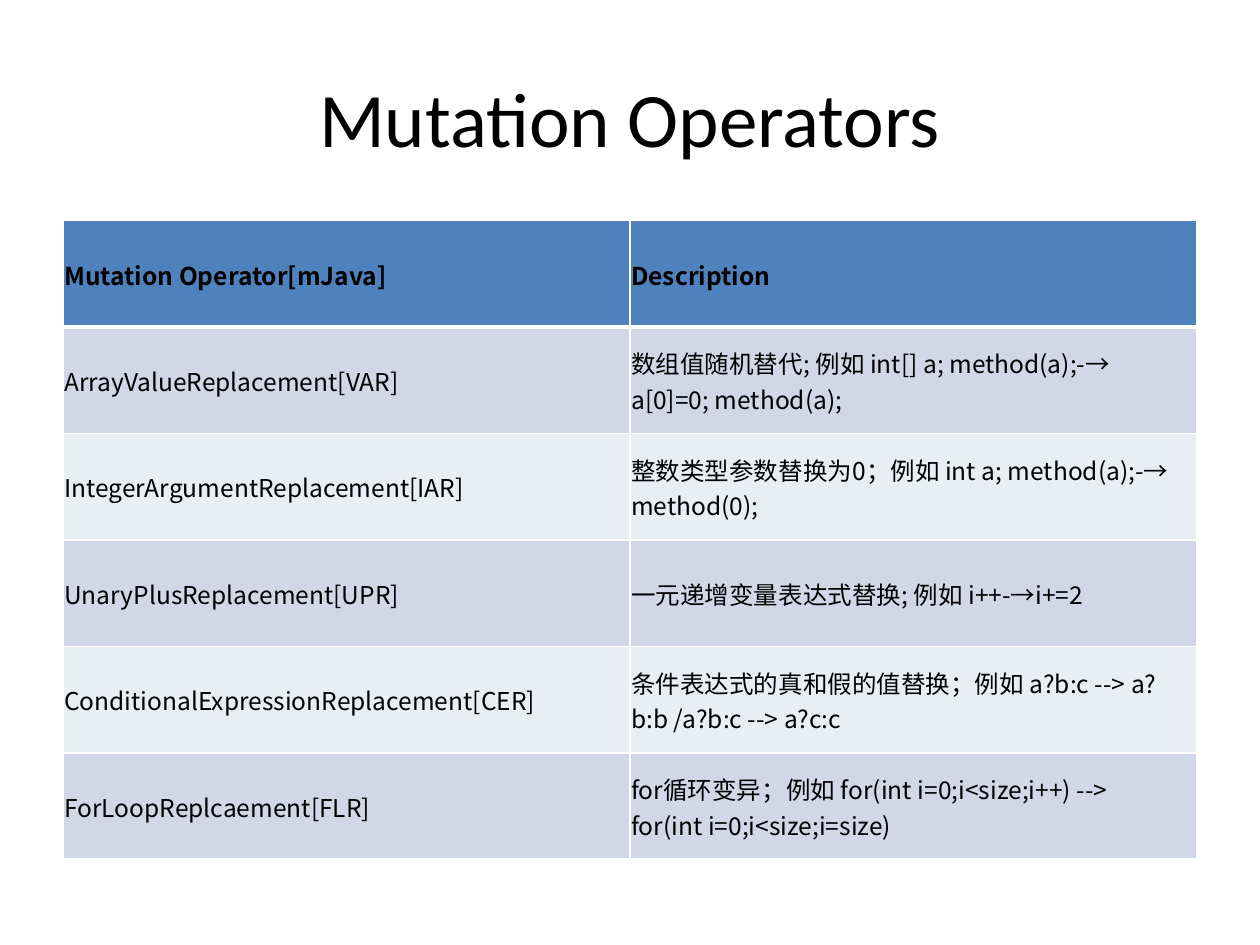
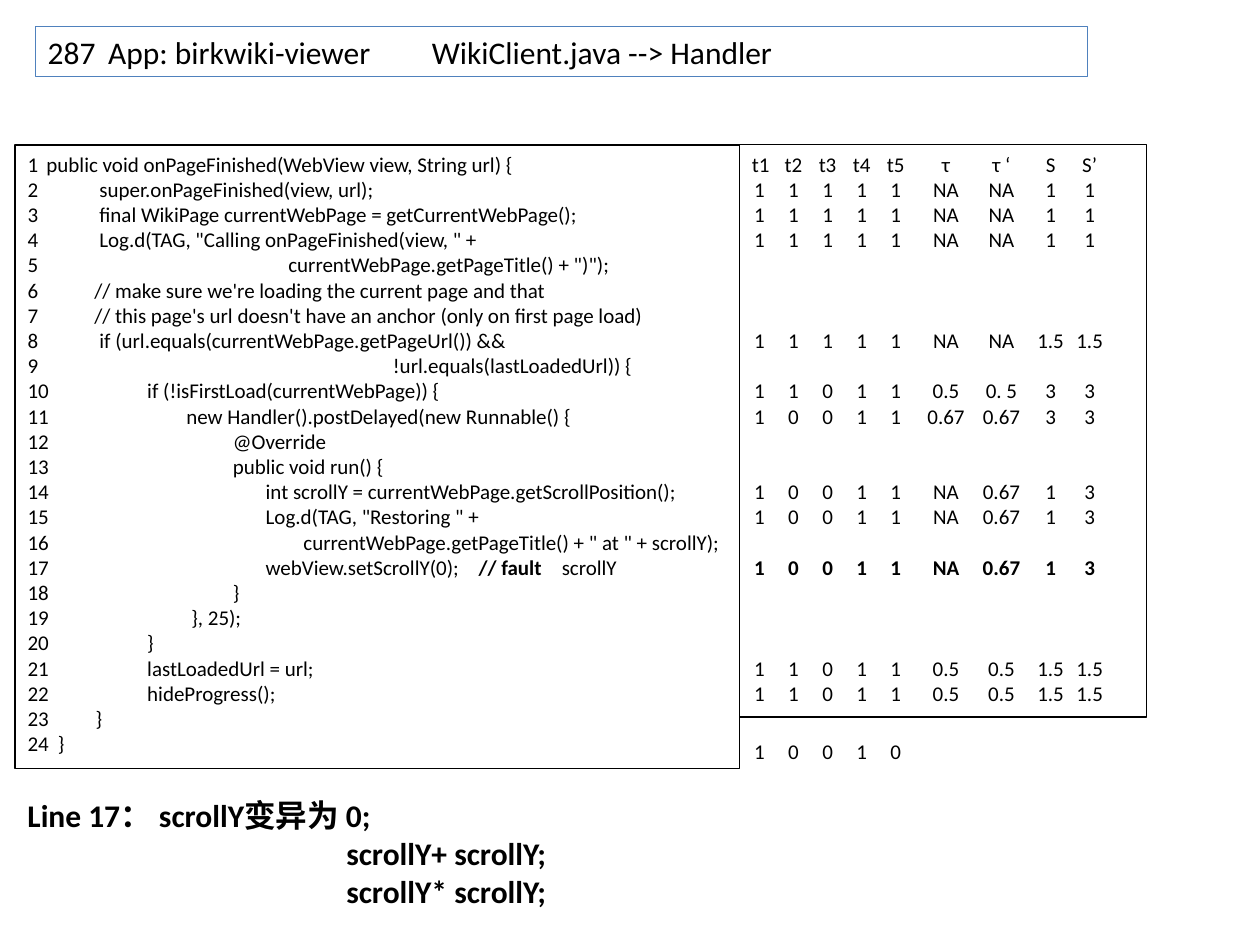
"""Builds two slides on mutation operators and a mutated fault example."""
from lxml import etree
from pptx import Presentation
from pptx import util as u
from pptx.dml import color
from pptx.enum import shapes, text
from pptx.oxml import ns

presentation = Presentation()
presentation.slide_width, presentation.slide_height = u.Inches(10), u.Inches(7.5)
COLUMN, ROW = presentation.slide_width / 10, presentation.slide_height / 7.5
LATIN, CHINESE = "Calibri", "Noto Sans CJK SC"
BLACK, WHITE, BLUE = "000000", "FFFFFF", "4F81BD"
BANDS = ["E9EDF4", "D0D8E8"]
CODE_SIZE, CODE_LEADING = 12, 14.4
paint = color.RGBColor.from_string


def add_box(slide, left, top, width, height, line=None):
    """Adds a text rectangle in grid units and returns its text frame."""
    place = [int(left * COLUMN), int(top * ROW), int(width * COLUMN), int(height * ROW)]
    if line:
        shape = slide.shapes.add_shape(shapes.MSO_SHAPE.RECTANGLE, *place)
        shape.shadow.inherit = False
        shape.fill.background()
        shape.line.color.rgb = paint(line)
        shape.line.width = u.Pt(0.75)
    else:
        shape = slide.shapes.add_textbox(*place)
    shape.text_frame.word_wrap = True
    shape.text_frame.vertical_anchor = text.MSO_ANCHOR.TOP
    return shape.text_frame


def add_line(frame, pieces, size, tabs=(), tab_kind="l", font=LATIN, align=text.PP_ALIGN.LEFT):
    """Writes (words, bold) pieces as one paragraph with tab stops in columns."""
    paragraph = frame.paragraphs[0]
    if paragraph.runs:
        paragraph = frame.add_paragraph()
    paragraph.alignment = align
    if tabs:
        stops = etree.SubElement(paragraph._p.get_or_add_pPr(), ns.qn("a:tabLst"))
        for tab in tabs:
            etree.SubElement(stops, ns.qn("a:tab"), pos=str(int(tab * COLUMN)), algn=tab_kind)
    for words, bold in pieces:
        run = paragraph.add_run()
        run.text = words
        run.font.size, run.font.bold, run.font.name = u.Pt(size), bold, font
        run.font.color.rgb = paint(BLACK)
        etree.SubElement(run._r.get_or_add_rPr(), ns.qn("a:ea"), typeface=CHINESE)
    return paragraph


slide = presentation.slides.add_slide(presentation.slide_layouts[6])
title = add_box(slide, 0.5, 0.3, 9, 1.25)
title.vertical_anchor = text.MSO_ANCHOR.MIDDLE
add_line(title, [("Mutation Operators", False)], 44, align=text.PP_ALIGN.CENTER)

operators = [
    ("Mutation Operator[mJava]", "Description"),
    ("ArrayValueReplacement[VAR]", "数组值随机替代; 例如 int[] a; method(a);-→ a[0]=0; method(a);"),
    ("IntegerArgumentReplacement[IAR]", "整数类型参数替换为0；例如 int a; method(a);-→ method(0);"),
    ("UnaryPlusReplacement[UPR]", "一元递增变量表达式替换; 例如 i++-→i+=2"),
    ("ConditionalExpressionReplacement[CER]",
     "条件表达式的真和假的值替换；例如 a?b:c --> a?b:b /a?b:c --> a?c:c"),
    ("ForLoopReplcaement[FLR]",
     "for循环变异；例如 for(int i=0;i<size;i++) --> for(int i=0;i<size;i=size)"),
]
table = slide.shapes.add_table(
    len(operators), 2, int(0.5 * COLUMN), int(1.75 * ROW), int(9 * COLUMN), int(5.07 * ROW)).table
for row, entries in enumerate(operators):
    for column, words in enumerate(entries):
        cell = table.cell(row, column)
        cell.vertical_anchor = text.MSO_ANCHOR.MIDDLE
        cell.margin_left = cell.margin_top = int(0.01 * COLUMN)
        cell.margin_right, cell.margin_bottom = int(0.12 * COLUMN), 0
        properties = cell._tc.get_or_add_tcPr()
        for side in "LRTB":
            thick = (row, side) in [(0, "B"), (1, "T")]
            border = etree.SubElement(
                properties, ns.qn(f"a:ln{side}"), w=str(u.Pt(3 if thick else 1)))
            fill = etree.SubElement(border, ns.qn("a:solidFill"))
            etree.SubElement(fill, ns.qn("a:srgbClr"), val=WHITE)
        cell.fill.solid()
        cell.fill.fore_color.rgb = paint(BANDS[row % 2] if row else BLUE)
        add_line(cell.text_frame, [(words, row == 0)], 14, font=CHINESE)

slide = presentation.slides.add_slide(presentation.slide_layouts[6])
code_frame = add_box(slide, 0.12, 1.15, 5.75, 4.95, BLACK)
code = [
    (0.15, "public void onPageFinished(WebView view, String url) {"),
    (0.57, "super.onPageFinished(view, url);"),
    (0.57, "final WikiPage currentWebPage = getCurrentWebPage();"),
    (0.57, 'Log.d(TAG, "Calling onPageFinished(view, " +'),
    (2.07, 'currentWebPage.getPageTitle() + ")");'),
    (0.53, "// make sure we're loading the current page and that"),
    (0.53, "// this page's url doesn't have an anchor (only on first page load)"),
    (0.57, "if (url.equals(currentWebPage.getPageUrl()) &&"),
    (2.9, "!url.equals(lastLoadedUrl)) {"),
    (0.95, "if (!isFirstLoad(currentWebPage)) {"),
    (1.26, "new Handler().postDelayed(new Runnable() {"),
    (1.63, "@Override"),
    (1.63, "public void run() {"),
    (1.89, "int scrollY = currentWebPage.getScrollPosition();"),
    (1.89, 'Log.d(TAG, "Restoring " +'),
    (2.19, 'currentWebPage.getPageTitle() + " at " + scrollY);'),
    (1.89, "webView.setScrollY(0);"),
    (1.63, "}"),
    (1.3, "}, 25);"),
    (0.95, "}"),
    (0.95, "lastLoadedUrl = url;"),
    (0.95, "hideProgress();"),
    (0.54, "}"),
    (0.24, "}"),
]
FAULT_LINE = 17
for number, (indent, words) in enumerate(code, 1):
    pieces, tabs = [(f"{number}\t{words}", False)], [indent]
    if number == FAULT_LINE:
        pieces += [("\t// fault", True), ("\tscrollY", False)]
        tabs += [3.58, 4.24]
    add_line(code_frame, pieces, CODE_SIZE, tabs)

heading = add_box(slide, 0.28, 0.21, 8.35, 0.4, BLUE)
add_line(heading, [("287\tApp: birkwiki-viewer\tWikiClient.java --> Handler", False)],
         18, [0.48, 3.05])

coverage_tabs = [0.06 + 0.27 * test for test in range(5)] + [1.54, 1.98, 2.37, 2.68]
coverage = {
    1: "t1,t2,t3,t4,t5,τ,τ ‘,S,S’",
    2: "1,1,1,1,1,NA,NA,1,1",
    3: "1,1,1,1,1,NA,NA,1,1",
    4: "1,1,1,1,1,NA,NA,1,1",
    8: "1,1,1,1,1,NA,NA,1.5,1.5",
    10: "1,1,0,1,1,0.5,0. 5,3,3",
    11: "1,0,0,1,1,0.67,0.67,3,3",
    14: "1,0,0,1,1,NA,0.67,1,3",
    15: "1,0,0,1,1,NA,0.67,1,3",
    17: "1,0,0,1,1,NA,0.67,1,3",
    21: "1,1,0,1,1,0.5,0.5,1.5,1.5",
    22: "1,1,0,1,1,0.5,0.5,1.5,1.5",
}
coverage_frame = add_box(slide, 5.87, 1.15, 3.23, 4.54, BLACK)
previous = 0
for number, values in coverage.items():
    words = "\t" + values.replace(",", "\t")
    paragraph = add_line(coverage_frame, [(words, number == FAULT_LINE)],
                         CODE_SIZE, coverage_tabs, "ctr")
    paragraph.space_before = u.Pt((number - previous - 1) * CODE_LEADING)
    previous = number

verdicts = add_box(slide, 5.87, 5.81, 3.36, 0.3)
add_line(verdicts, [("\t1\t0\t0\t1\t0", False)], CODE_SIZE, coverage_tabs, "ctr")

mutants = add_box(slide, 0.12, 6.27, 8.66, 1.01)
for words in ["Line 17： scrollY变异为 0;", "\tscrollY+ scrollY;", "\tscrollY* scrollY;"]:
    add_line(mutants, [(words, True)], 18, [2.53])

presentation.save("out.pptx")
